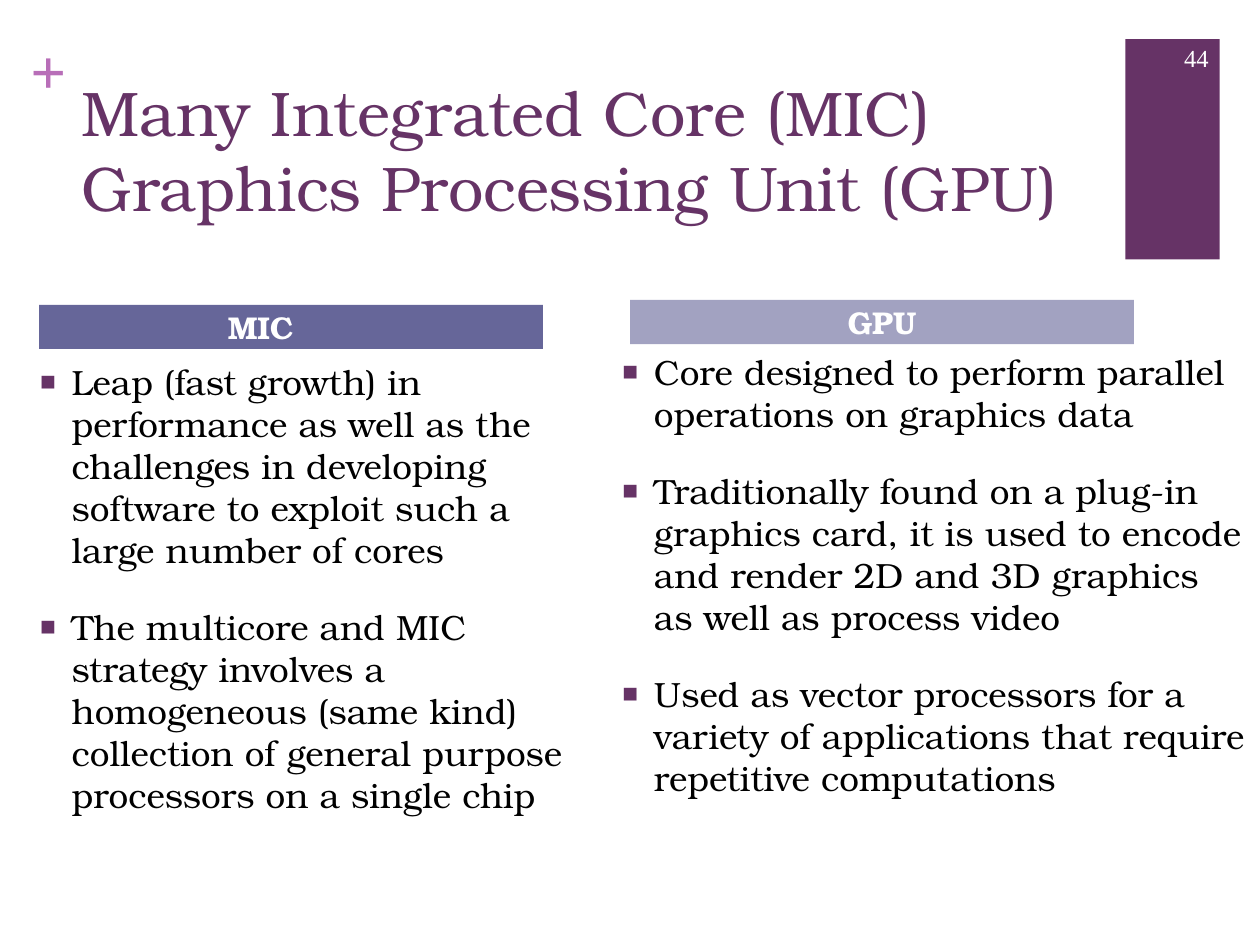
"""Build the slide comparing many integrated core and graphics processors."""
from lxml import etree
from pptx import Presentation
from pptx.dml.color import RGBColor
from pptx.enum import shapes, text
from pptx.oxml.ns import qn
from pptx.util import Pt

PURPLE = RGBColor(0x66, 0x33, 0x66)
ORCHID = RGBColor(0xB8, 0x6E, 0xB8)
SLATE = RGBColor(0x66, 0x66, 0x99)
LAVENDER = RGBColor(0xA2, 0xA2, 0xC1)
WHITE = RGBColor(0xFF, 0xFF, 0xFF)
BLACK = RGBColor(0, 0, 0)
SERIF = "TeX Gyre Bonum"
NUMERAL = "Times New Roman"


def place(shape, left, top, width, height):
    shape.left, shape.top = Pt(left), Pt(top)
    shape.width, shape.height = Pt(width), Pt(height)


def write(shape, content, size, color, font=SERIF, bold=False,
          align=text.PP_ALIGN.LEFT, anchor=text.MSO_ANCHOR.TOP, insets=(7.2, 3.6)):
    frame = shape.text_frame
    frame.text = content
    frame.word_wrap = True
    frame.auto_size = text.MSO_AUTO_SIZE.NONE
    frame.vertical_anchor = anchor
    frame.margin_left = frame.margin_right = Pt(insets[0])
    frame.margin_top = frame.margin_bottom = Pt(insets[1])
    for paragraph in frame.paragraphs:
        paragraph.alignment = align
        paragraph.space_before = Pt(0)
        for run in paragraph.runs:
            run.font.name, run.font.size, run.font.bold = font, Pt(size), bold
            run.font.color.rgb = color


presentation = Presentation()
presentation.slide_width, presentation.slide_height = Pt(720), Pt(540)
slide = presentation.slides.add_slide(presentation.slide_layouts.get_by_name("Comparison"))
title, left_heading, left_list, right_heading, right_list = slide.placeholders

band = slide.shapes.add_shape(shapes.MSO_SHAPE.RECTANGLE, Pt(643), Pt(22.3), Pt(54), Pt(126))
band.shadow.inherit = False
band.fill.solid()
band.fill.fore_color.rgb = PURPLE
band.line.fill.background()

plus = slide.shapes.add_textbox(Pt(17.3), Pt(18), Pt(21), Pt(44))
write(plus, "+", 36, ORCHID, NUMERAL, bold=True, insets=(0, 0))

place(title, 39.6, 38.2, 594.7, 105.8)
write(title, "Many Integrated Core (MIC)\nGraphics Processing Unit (GPU)", 36, PURPLE)

headings = [
    (left_heading, "MIC", SLATE, 22.3, 174.2, 42),
    (right_heading, "GPU", LAVENDER, 360, 171.4, 7.2),
]
for heading, label, color, left, top, right_inset in headings:
    place(heading, left, top, 288, 25.2)
    heading.fill.solid()
    heading.fill.fore_color.rgb = color
    write(heading, label, 18, WHITE, bold=True, align=text.PP_ALIGN.CENTER,
          anchor=text.MSO_ANCHOR.MIDDLE, insets=(7.2, 0))
    heading.text_frame.margin_right = Pt(right_inset)
    properties = heading.text_frame.paragraphs[0]._p.get_or_add_pPr()
    properties.set("marL", "0")
    properties.set("indent", "0")
    etree.SubElement(properties, qn("a:buNone"))

lists = [
    (left_list, (15.8, 202.3, 326.9, 264.2), [
        "Leap (fast growth) in performance as well as the challenges in developing "
        "software to exploit such a large number of cores",
        "The multicore and MIC strategy involves a homogeneous (same kind) "
        "collection of general purpose processors on a single chip",
    ]),
    (right_list, (348.5, 196.6, 371.5, 275.8), [
        "Core designed to perform parallel operations on graphics data",
        "Traditionally found on a plug-in graphics card, it is used to encode and "
        "render 2D and 3D graphics as well as process video",
        "Used as vector processors for a variety of applications that require "
        "repetitive computations",
    ]),
]
for body, box, items in lists:
    place(body, *box)
    write(body, "\n".join(items), 20, BLACK)
    for index, paragraph in enumerate(body.text_frame.paragraphs):
        paragraph.space_before = Pt(20 if index else 0)
        properties = paragraph._p.get_or_add_pPr()
        properties.set("marL", str(Pt(18)))
        properties.set("indent", str(Pt(-18)))
        bullet_color = etree.SubElement(properties, qn("a:buClr"))
        etree.SubElement(bullet_color, qn("a:srgbClr"), val=str(PURPLE))
        etree.SubElement(properties, qn("a:buSzPct"), val="75000")
        etree.SubElement(properties, qn("a:buChar"), char="■")

number = slide.shapes.add_textbox(Pt(653.8), Pt(18.7), Pt(43.9), Pt(28.8))
write(number, "44", 14, WHITE, NUMERAL, align=text.PP_ALIGN.RIGHT,
      anchor=text.MSO_ANCHOR.MIDDLE)

presentation.save("out.pptx")
